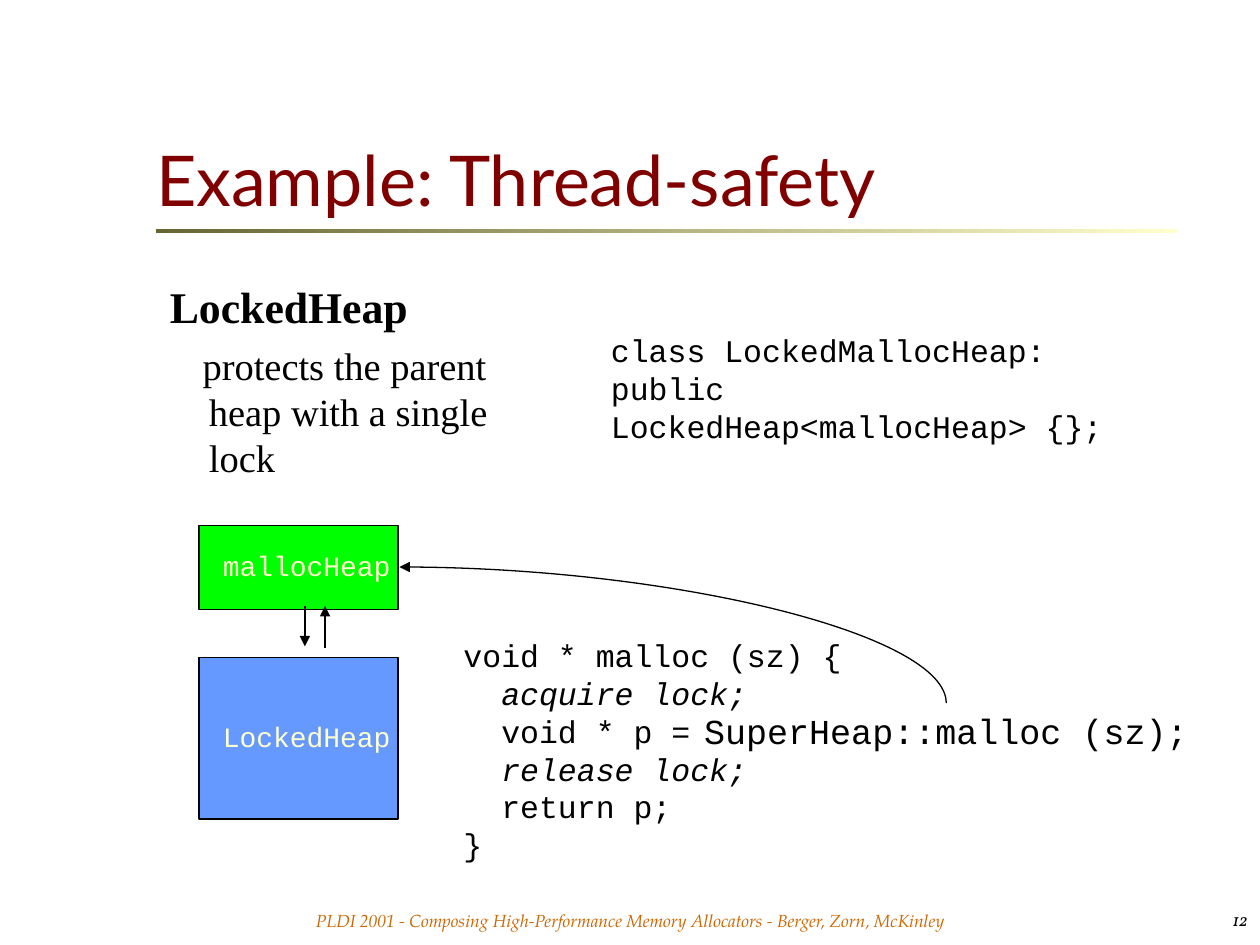
import pptx
import pptx.dml.color
import pptx.enum.shapes
import pptx.enum.text
import pptx.oxml
import pptx.oxml.ns
import pptx.util
from pptx.util import Inches

CODE_FONT = "Courier New"
BODY_FONT = "Times New Roman"
ALIGN = pptx.enum.text.PP_ALIGN
ANCHOR = pptx.enum.text.MSO_ANCHOR
CONNECTOR = pptx.enum.shapes.MSO_CONNECTOR


def color(hex_string):
    """Return an RGB colour for a hex string."""
    return pptx.dml.color.RGBColor.from_string(hex_string)


def style(paragraph, font, size, hex_string="000000", bold=False, italic=False):
    """Format every run of a paragraph."""
    for run in paragraph.runs:
        run.font.name = font
        run.font.size = pptx.util.Pt(size)
        run.font.color.rgb = color(hex_string)
        run.font.bold = bold
        run.font.italic = italic


def add_text(slide, box, text, font, size, hex_string="000000", italic=False,
             align=ALIGN.LEFT, anchor=ANCHOR.TOP, wrap=True):
    """Add a text box with one paragraph per line and return its frame."""
    frame = slide.shapes.add_textbox(*map(Inches, box)).text_frame
    frame.word_wrap = wrap
    frame.vertical_anchor = anchor
    frame.text = text
    for paragraph in frame.paragraphs:
        paragraph.alignment = align
        style(paragraph, font, size, hex_string, italic=italic)
    return frame


def add_rectangle(slide, box):
    """Add a plain rectangle without a shadow."""
    rectangle = slide.shapes.add_shape(
        pptx.enum.shapes.MSO_SHAPE.RECTANGLE, *map(Inches, box))
    rectangle.shadow.inherit = False
    return rectangle


def add_arrow(slide, start, end, kind=CONNECTOR.STRAIGHT):
    """Add a thin black connector with an arrowhead at its end."""
    arrow = slide.shapes.add_connector(kind, *map(Inches, (*start, *end)))
    arrow.line.color.rgb = color("000000")
    arrow.line.width = pptx.util.Pt(0.75)
    qn = pptx.oxml.ns.qn
    properties = arrow._element.spPr
    head = properties.find(qn("a:ln")).makeelement(qn("a:tailEnd"), {"type": "triangle"})
    properties.find(qn("a:ln")).append(head)
    properties.append(properties.makeelement(qn("a:effectLst"), {}))
    return arrow


def add_title(slide, box):
    """Add the heading and the fading rule below it."""
    left, top, width, height = box
    add_text(slide, box, "Example: Thread-safety", "Lato", 40, "800000",
             anchor=ANCHOR.BOTTOM)
    rule = add_rectangle(slide, (left + 0.1, top + height + 0.02, 8.1, 0.03))
    rule.line.fill.background()
    rule.fill.gradient()
    rule.fill.gradient_angle = 0
    for stop, shade in zip(rule.fill.gradient_stops, ("666633", "FFFFCC")):
        stop.color.rgb = color(shade)


def add_description(slide, box):
    """Add the class name and its indented explanation."""
    frame = add_text(slide, box,
                     "LockedHeap\nprotects the parent heap with a single lock",
                     BODY_FONT, 22)
    name, purpose = frame.paragraphs
    style(name, BODY_FONT, 25, bold=True)
    purpose.space_before = pptx.util.Pt(5.5)
    indents = purpose._p.get_or_add_pPr()
    indents.set("marL", str(Inches(0.31)))
    indents.set("indent", str(Inches(-0.05)))


def add_heap(slide, box, label, fill):
    """Add a heap block with its label centred vertically."""
    left, top, width, height = box
    block = add_rectangle(slide, box)
    block.fill.solid()
    block.fill.fore_color.rgb = color(fill)
    block.line.color.rgb = color("000000")
    block.line.width = pptx.util.Pt(0.75)
    add_text(slide, (left + 0.09, top + height / 2 - 0.2, width, 0.37),
             label, CODE_FONT, 16, "FFFFCC")


def add_heap_stack(slide, box):
    """Add the two heaps and the calls between them."""
    left, top, width, height = box
    lower_top = top + 1.05
    add_heap(slide, (left, top, width, 0.67), "mallocHeap", "00FF00")
    add_heap(slide, (left, lower_top, width, top + height - lower_top),
             "LockedHeap", "6699FF")
    add_arrow(slide, (left + 0.84, top + 0.64), (left + 0.84, top + 0.96))
    add_arrow(slide, (left + 1, top + 0.97), (left + 1, top + 0.64))


def add_malloc_code(slide, box):
    """Add the malloc listing with the larger call to the parent heap."""
    left, top, width, height = box
    listing = add_text(slide, box,
                       "void * malloc (sz) {\n  acquire lock;\n  void * p =\n"
                       "  release lock;\n  return p;\n}", CODE_FONT, 18)
    for line in listing.paragraphs:
        style(line, CODE_FONT, 18, italic=line.text.endswith("lock;"))
    add_text(slide, (left + 1.91, top + 0.58, 4.04, 0.44),
             "SuperHeap::malloc (sz);", CODE_FONT, 20, wrap=False)


def add_parent_call(slide, start, end):
    """Add the quarter-curve arrow that leaves upwards and arrives leftwards."""
    middle_x, middle_y = (start[0] + end[0]) / 2, (start[1] + end[1]) / 2
    half_rise, half_run = (start[1] - end[1]) / 2, (start[0] - end[0]) / 2
    curve = add_arrow(slide, (middle_x - half_rise, middle_y + half_run),
                      (middle_x + half_rise, middle_y - half_run), CONNECTOR.CURVE)
    properties = curve._element.spPr
    properties.find(pptx.oxml.ns.qn("a:xfrm")).set("rot", str(270 * 60000))
    properties.find(pptx.oxml.ns.qn("a:prstGeom")).set("prst", "curvedConnector2")


def add_footer(slide, box):
    """Add the centred talk reference and the slide number."""
    left, top, width, height = box
    add_text(slide, (left + 0.5, top, width - 1, height),
             "PLDI 2001 - Composing High-Performance Memory Allocators"
             " - Berger, Zorn, McKinley",
             "TeX Gyre Pagella", 10, "CC6600", italic=True, align=ALIGN.CENTER)
    add_text(slide, (left + width - 0.5, top, 0.5, height), "12", "Vollkorn", 10,
             italic=True, align=ALIGN.RIGHT, anchor=ANCHOR.MIDDLE)


def main():
    """Build and save the slide."""
    presentation = pptx.Presentation()
    presentation.slide_width = Inches(10)
    presentation.slide_height = Inches(7.5)
    slide = presentation.slides.add_slide(presentation.slide_layouts[6])
    add_title(slide, (1.14, 0.63, 7.67, 1.17))
    add_description(slide, (1.25, 2.17, 3, 3))
    add_text(slide, (4.75, 2.58, 4.25, 1),
             "class LockedMallocHeap:\npublic LockedHeap<mallocHeap> {};",
             CODE_FONT, 18)
    add_heap_stack(slide, (1.58, 4.17, 1.58, 2.33))
    add_malloc_code(slide, (3.58, 5, 5.92, 1.9))
    add_parent_call(slide, (7.51, 5.58), (3.17, 4.5))
    add_footer(slide, (0, 7.17, 10, 0.25))
    presentation.save("out.pptx")


if __name__ == "__main__":
    main()
